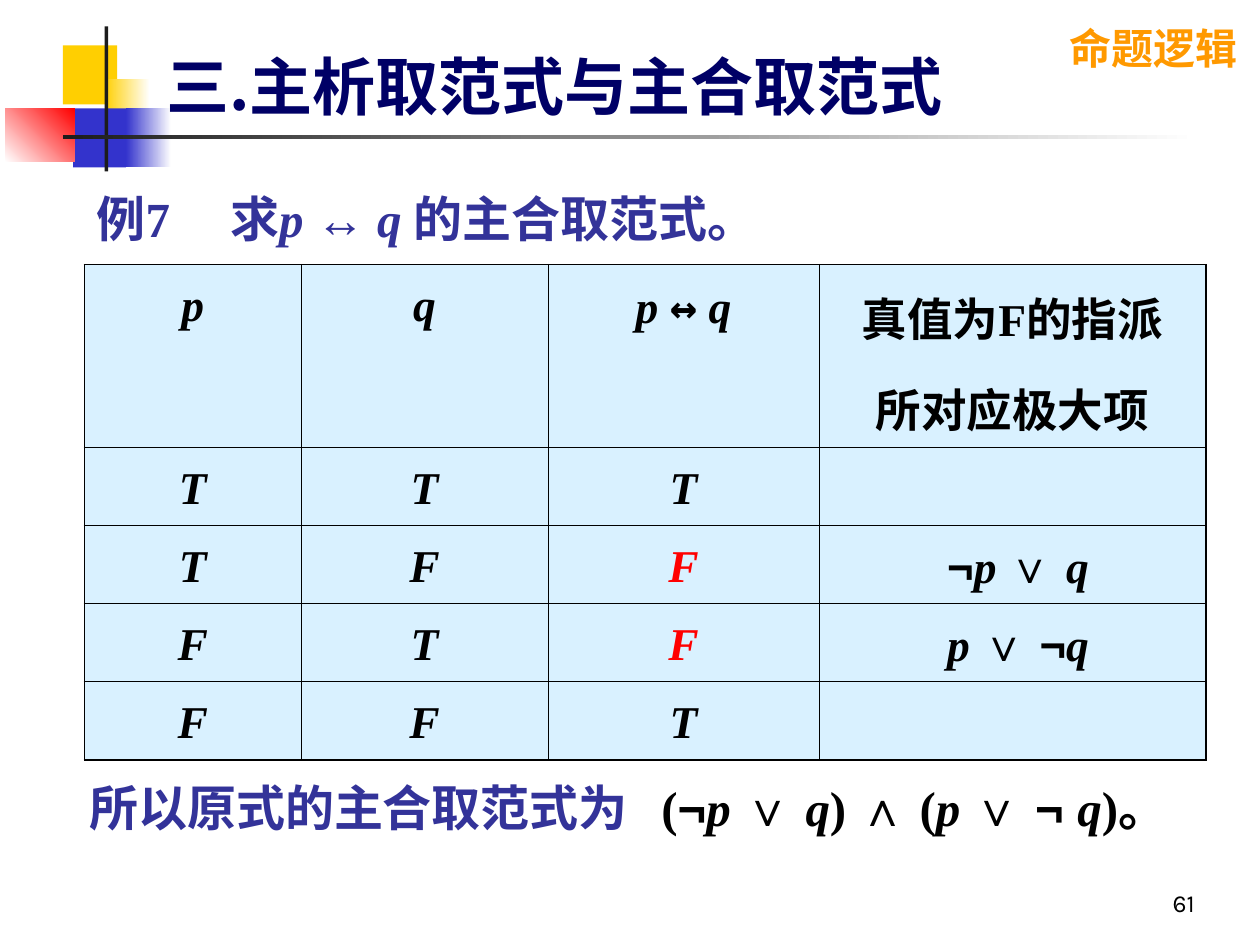
"""Build a slide on the principal conjunctive normal form of p ↔ q."""
from lxml.etree import SubElement
from pptx import Presentation
from pptx.dml.color import RGBColor
from pptx.enum.shapes import MSO_SHAPE
from pptx.enum.text import MSO_ANCHOR, PP_ALIGN
from pptx.oxml.ns import qn
from pptx.util import Inches, Pt

COLORS = {
    "gold": "FFCF01", "blue": "3333CC", "red": "FF0000", "white": "FFFFFF",
    "ink": "1C1C1C", "orange": "FF9900", "navy": "000066", "indigo": "333399",
    "black": "000000", "ice": "D9F1FF",
}
STYLES = {
    "word": ("Times New Roman", False),
    "var": ("Times New Roman", True),
    "sign": ("Arial", False),
    "arrow": ("DejaVu Sans Mono", False),
    "label": ("Karla", False),
    "heading": ("Noto Sans CJK SC", False),
}


def write(paragraph, pieces, size, color, bold=True, align=PP_ALIGN.LEFT,
          before=0, spacing=None, tab=None):
    paragraph.alignment = align
    paragraph.space_before = Pt(before)
    paragraph.line_spacing = spacing
    if tab:
        stops = SubElement(paragraph._p.get_or_add_pPr(), qn("a:tabLst"))
        SubElement(stops, qn("a:tab"), pos=str(Inches(tab)), algn="l")
    paragraph.font.size = Pt(size)
    paragraph.font.bold = bold
    for text, style, *own_color in pieces:
        run = paragraph.add_run()
        run.text = text
        run.font.name, run.font.italic = STYLES[style]
        run.font.color.rgb = RGBColor.from_string(COLORS[own_color[0] if own_color else color])
        if any("一" <= letter <= "鿿" for letter in text):
            SubElement(run.font._element, qn("a:ea"), typeface="Noto Sans CJK SC")


def add_text(left, top, width, height, pieces, size, color, anchor=MSO_ANCHOR.TOP,
             wrap=True, indent=0.1, **layout):
    box = slide.shapes.add_textbox(Inches(left), Inches(top), Inches(width), Inches(height))
    frame = box.text_frame
    frame.word_wrap = wrap
    frame.vertical_anchor = anchor
    frame.margin_left = Inches(indent)
    write(frame.paragraphs[0], pieces, size, color, **layout)


prs = Presentation()
prs.slide_width, prs.slide_height = Inches(10), Inches(7.5)
slide = prs.slides.add_slide(prs.slide_layouts[6])

ornaments = [
    (0.5, 0.36, 0.43, 0.47, ["gold"], 0),
    (0.83, 0.63, 0.36, 0.52, ["gold", "white"], 0),
    (0.58, 0.86, 0.42, 0.47, ["blue"], 0),
    (1, 0.86, 0.36, 0.47, ["blue", "white"], 0),
    (0.04, 0.86, 0.55, 0.42, ["white", "red"], 45),
    (0.83, 0.21, 0.03, 1.15, ["ink"], 0),
    (0.5, 1.07, 9, 0.03, ["ink", "white"], 0),
]
for left, top, width, height, tones, angle in ornaments:
    ornament = slide.shapes.add_shape(
        MSO_SHAPE.RECTANGLE, Inches(left), Inches(top), Inches(width), Inches(height))
    ornament.shadow.inherit = False
    ornament.line.fill.background()
    if len(tones) == 1:
        ornament.fill.solid()
        ornament.fill.fore_color.rgb = RGBColor.from_string(COLORS[tones[0]])
    else:
        ornament.fill.gradient()
        ornament.fill.gradient_angle = angle
        for stop, tone, position in zip(ornament.fill.gradient_stops, tones, (0, 1)):
            stop.color.rgb = RGBColor.from_string(COLORS[tone])
            stop.position = position

add_text(8.39, 0.13, 1.53, 0.5, [("命题逻辑", "label")], 24, "orange", wrap=False)
add_text(1.22, 0.21, 8.27, 0.82, [("三.主析取范式与主合取范式", "heading")], 36, "navy",
         anchor=MSO_ANCHOR.BOTTOM)

conclusion = [
    ("所以原式的主合取范式为\t", "word", "indigo"), ("(", "word"), ("¬", "sign"),
    ("p ", "var"), ("∨ ", "sign"), ("q", "var"), (") ", "word"), ("∧", "sign"),
    (" (", "word"), ("p ", "var"), ("∨ ¬ ", "sign"), ("q", "var"), (")。", "word"),
]
add_text(0.43, 6.03, 9.06, 0.79, conclusion, 28, "black", indent=0.28,
         before=7, spacing=1.2, tab=4.54)

headers = [
    [[("p", "var")]],
    [[("q", "var")]],
    [[("p ", "var"), ("↔", "arrow"), (" q", "var")]],
    [[("真值为F的指派", "word")], [("所对应极大项", "word")]],
]
maxterms = {
    "TF": [(" ", "word"), ("¬", "sign"), ("p ", "var"), ("∨ ", "sign"), ("q", "var")],
    "FT": [(" p ", "var"), ("∨ ¬", "sign"), ("q", "var")],
}
rows = [headers]
for p, q in ("TT", "TF", "FT", "FF"):
    result = ("T", "var") if p == q else ("F", "var", "red")
    maxterm = maxterms.get(p + q)
    rows.append([[[(p, "var")]], [[(q, "var")]], [[result]], [maxterm] if maxterm else []])

widths = [1.72, 1.96, 2.15, 3.07]
heights = [1.45] + [0.62] * 4
truth_table = slide.shapes.add_table(
    len(heights), len(widths), Inches(0.67), Inches(2.1),
    Inches(sum(widths)), Inches(sum(heights))).table
truth_table.first_row = truth_table.horz_banding = False
for column, width in zip(truth_table.columns, widths):
    column.width = Inches(width)
for row, height in zip(truth_table.rows, heights):
    row.height = Inches(height)

for r, row in enumerate(rows):
    for c, lines in enumerate(row):
        cell = truth_table.cell(r, c)
        outer_edges = {"L": c == 0, "R": c == len(widths) - 1,
                       "T": r == 0, "B": r == len(heights) - 1}
        for side, outer in outer_edges.items():
            border = SubElement(cell._tc.get_or_add_tcPr(), qn(f"a:ln{side}"),
                                w=str(Pt(1.08 if outer else 0.45)))
            SubElement(SubElement(border, qn("a:solidFill")), qn("a:srgbClr"),
                       val=COLORS["black"])
        cell.fill.solid()
        cell.fill.fore_color.rgb = RGBColor.from_string(COLORS["ice"])
        frame = cell.text_frame
        for n, pieces in enumerate(lines):
            paragraph = frame.add_paragraph() if n else frame.paragraphs[0]
            write(paragraph, pieces, 26, "black", align=PP_ALIGN.CENTER,
                  before=6.5, spacing=1.2)

example = [("例7\t求", "word"), ("p ", "var"), ("↔ ", "word"), ("q ", "var"),
           ("的主合取范式。", "word")]
add_text(0.67, 1.45, 7.4, 0.57, example, 28, "indigo", before=17.5, tab=1.06)
add_text(7.5, 6.83, 2.08, 0.5, [("61", "label")], 14, "black", bold=False,
         anchor=MSO_ANCHOR.BOTTOM, align=PP_ALIGN.RIGHT)

prs.save("out.pptx")
